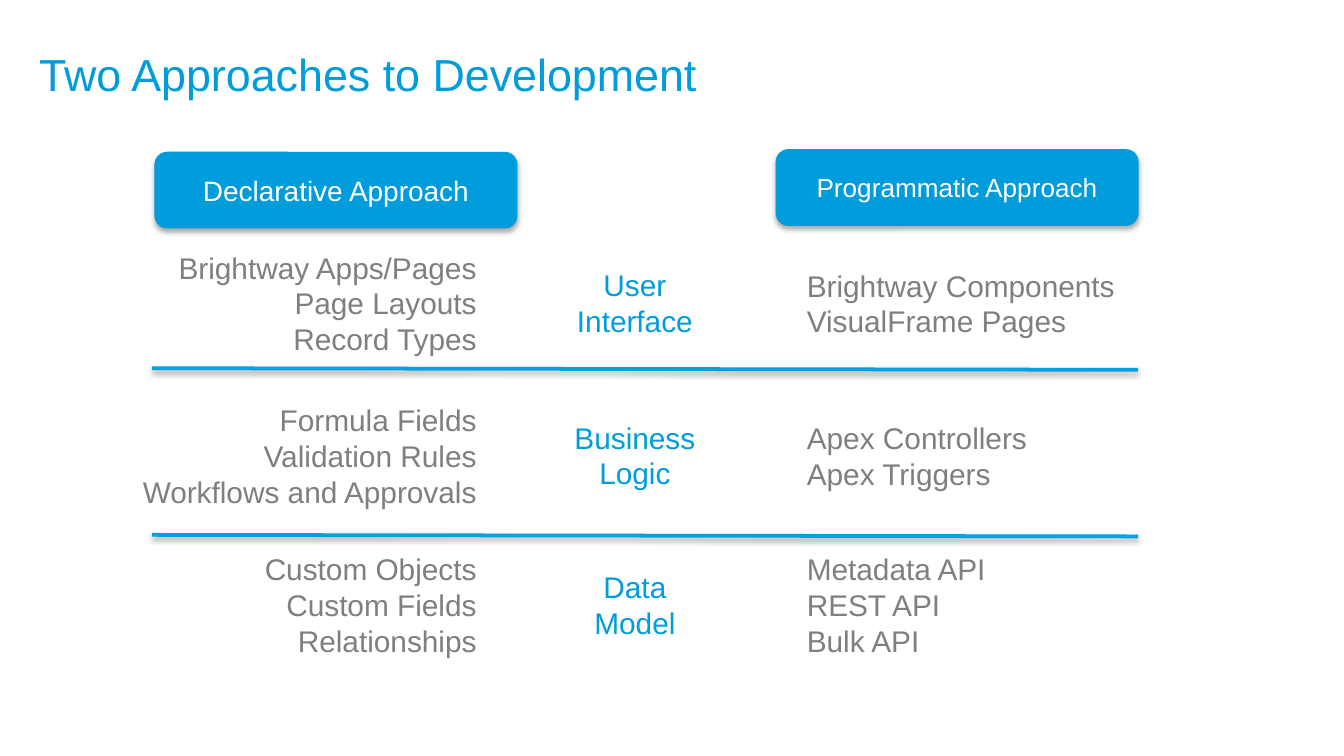
"""Build a slide comparing declarative and programmatic development."""
from dataclasses import dataclass

from pptx import Presentation
from pptx.dml.color import RGBColor
from pptx.enum.shapes import MSO_CONNECTOR as Connector, MSO_SHAPE as Shape
from pptx.enum.text import MSO_ANCHOR as Anchor, PP_ALIGN as Align
from pptx.oxml import parse_xml
from pptx.oxml.ns import nsdecls
from pptx.util import Cm, Pt

BLUE = "009CDB"
LINE_BLUE = "00A1E0"
GRAY = "7F7F7F"
WHITE = "FFFFFF"
ROW_HEIGHT = 2.44
LABEL_HEIGHT = 1.63
LEFT_EDGE = 9.38
RIGHT_START = 14.88


@dataclass
class Row:
    top: float
    label: str
    declarative: list[str]
    programmatic: list[str]
    left_width: float = 9.2
    right_width: float = 8.84


@dataclass
class Header:
    left: float
    top: float
    text: str
    size: int


ROWS = [
    Row(4.51, "User Interface",
        ["Brightway Apps/Pages", "Page Layouts", "Record Types"],
        ["Brightway Components", "VisualFrame Pages"], 7.45, 8.03),
    Row(7.39, "Business Logic",
        ["Formula Fields", "Validation Rules", "Workflows and Approvals"],
        ["Apex Controllers", "Apex Triggers"]),
    Row(10.21, "Data Model",
        ["Custom Objects", "Custom Fields", "Relationships"],
        ["Metadata API", "REST API", "Bulk API"]),
]
HEADERS = [
    Header(2.92, 2.87, "Declarative Approach", 15),
    Header(14.66, 2.82, "Programmatic Approach", 14),
]
DIVIDER_TOPS = [6.96, 10.11]


def rgb(value: str) -> RGBColor:
    return RGBColor.from_string(value)


def write_text(shape, lines: list[str], *, size: int = 16, color: str = GRAY,
               align: Align = Align.LEFT, anchor: Anchor = Anchor.MIDDLE,
               margins: tuple[float, float] = (0.25, 0.13),
               line_spacing: float | None = None) -> None:
    frame = shape.text_frame
    frame.word_wrap = True
    frame.vertical_anchor = anchor
    frame.margin_left = frame.margin_right = Cm(margins[0])
    frame.margin_top = frame.margin_bottom = Cm(margins[1])
    frame.text = "\n".join(lines)
    for paragraph in frame.paragraphs:
        paragraph.alignment = align
        paragraph.line_spacing = line_spacing
        paragraph.font.name = "Arial"
        paragraph.font.size = Pt(size)
        paragraph.font.color.rgb = rgb(color)


def add_shadow(shape, distance: float, opacity: int) -> None:
    shape.element.spPr.append(parse_xml(
        f'<a:effectLst {nsdecls("a")}><a:outerShdw blurRad="{Pt(3.1)}" '
        f'dist="{Pt(distance)}" dir="5400000" rotWithShape="0">'
        f'<a:srgbClr val="000000"><a:alpha val="{opacity * 1000}"/></a:srgbClr>'
        '</a:outerShdw></a:effectLst>'))


def add_list(slide, left: float, top: float, width: float,
             lines: list[str], align: Align) -> None:
    shape = slide.shapes.add_shape(Shape.ROUNDED_RECTANGLE, Cm(left), Cm(top),
                                   Cm(width), Cm(ROW_HEIGHT))
    shape.fill.background()
    shape.line.fill.background()
    shape.shadow.inherit = False
    write_text(shape, lines, align=align)


def add_row(slide, row: Row) -> None:
    add_list(slide, LEFT_EDGE - row.left_width, row.top, row.left_width,
             row.declarative, Align.RIGHT)
    add_list(slide, RIGHT_START, row.top, row.right_width,
             row.programmatic, Align.LEFT)
    label_top = row.top + (ROW_HEIGHT - LABEL_HEIGHT) / 2
    label = slide.shapes.add_textbox(Cm(10.41), Cm(label_top),
                                     Cm(3.18), Cm(LABEL_HEIGHT))
    write_text(label, [row.label], color=BLUE, align=Align.CENTER,
               anchor=Anchor.TOP)


def add_divider(slide, top: float) -> None:
    divider = slide.shapes.add_connector(Connector.STRAIGHT, Cm(2.87), Cm(top),
                                         Cm(21.51), Cm(top + 0.03))
    divider.line.color.rgb = rgb(LINE_BLUE)
    divider.line.width = Pt(2)
    add_shadow(divider, 1.6, 37)


def add_header(slide, header: Header) -> None:
    shape = slide.shapes.add_shape(Shape.ROUNDED_RECTANGLE, Cm(header.left),
                                   Cm(header.top), Cm(6.86), Cm(1.45))
    shape.fill.solid()
    shape.fill.fore_color.rgb = rgb(BLUE)
    shape.line.fill.background()
    add_shadow(shape, 1.8, 35)
    write_text(shape, [header.text], size=header.size, color=WHITE,
               align=Align.CENTER, margins=(0.18, 0.1))


def main() -> None:
    presentation = Presentation()
    presentation.slide_width = Cm(25.4)
    presentation.slide_height = Cm(14.29)
    slide = presentation.slides.add_slide(presentation.slide_layouts[5])
    title = slide.shapes.title
    title.left, title.top = Cm(0.74), Cm(0.03)
    title.width, title.height = Cm(24.16), Cm(1.88)
    write_text(title, ["Two Approaches to Development"], size=24, color=BLUE,
               anchor=Anchor.BOTTOM, margins=(0, 0), line_spacing=0.9)
    for row in ROWS:
        add_row(slide, row)
    for top in DIVIDER_TOPS:
        add_divider(slide, top)
    for header in HEADERS:
        add_header(slide, header)
    presentation.save("out.pptx")


if __name__ == "__main__":
    main()
